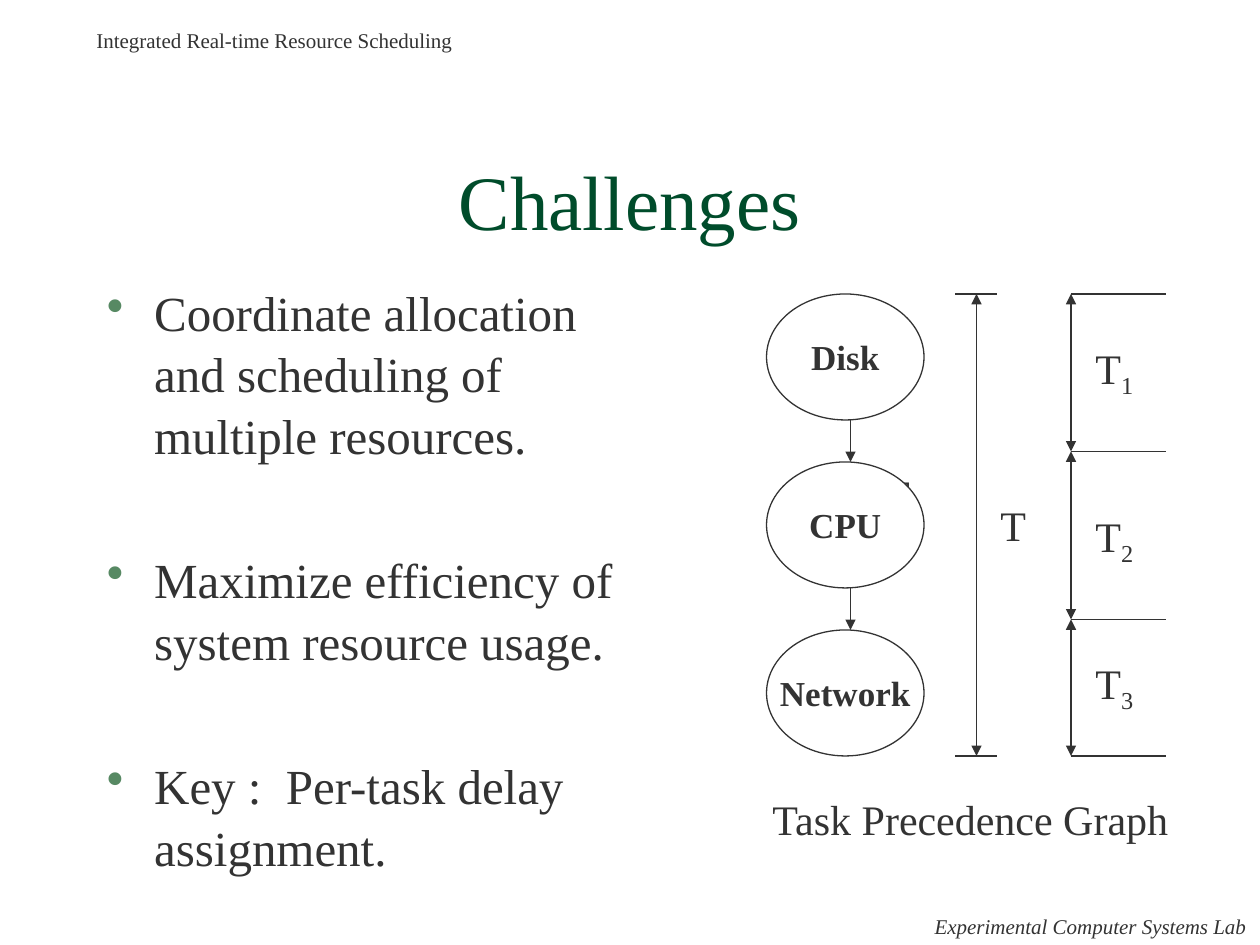
from pptx import Presentation
from pptx.dml.color import RGBColor
from pptx.enum.shapes import MSO_CONNECTOR, MSO_SHAPE
from pptx.enum.text import MSO_ANCHOR, PP_ALIGN
from pptx.oxml.ns import qn
from pptx.util import Pt
from lxml.etree import SubElement

INK = RGBColor(0x33, 0x33, 0x33)
GREEN = RGBColor(0x00, 0x4C, 0x2B)
BULLET_GREEN = RGBColor(0x57, 0x89, 0x63)
WHITE = RGBColor(0xFF, 0xFF, 0xFF)

deck = Presentation()
deck.slide_width, deck.slide_height = Pt(720), Pt(540)
page = deck.slides.add_slide(deck.slide_layouts[6])


def add_text(place, text, size, subscript="", color=INK, align=PP_ALIGN.CENTER,
             wrap=False, anchor=MSO_ANCHOR.TOP, oval=False):
    """Write one paragraph in a text box or an oval; return the frame."""
    place = [Pt(length) for length in place]
    if oval:
        box = page.shapes.add_shape(MSO_SHAPE.OVAL, *place)
        box.shadow.inherit = False
        box.fill.solid()
        box.fill.fore_color.rgb = WHITE
        box.line.color.rgb = INK
        box.line.width = Pt(0.75)
    else:
        box = page.shapes.add_textbox(*place)
    frame = box.text_frame
    frame.word_wrap = wrap
    frame.vertical_anchor = anchor
    para = frame.paragraphs[0]
    para.alignment = align
    for part in filter(None, (text, subscript)):
        span = para.add_run()
        span.text = part
        span.font.name = "Times New Roman"
        span.font.size = Pt(size)
        span.font.color.rgb = color
        span.font.bold = oval
    if subscript:
        span.font._element.set("baseline", "-25000")
    return frame


def add_line(x1, y1, x2, y2, ends=()):
    """Draw a line; ends may name headEnd (start) and tailEnd (finish)."""
    line = page.shapes.add_connector(
        MSO_CONNECTOR.STRAIGHT, Pt(x1), Pt(y1), Pt(x2), Pt(y2))
    line.line.color.rgb = INK
    line.line.width = Pt(0.75)
    for end in ends:
        SubElement(line.line._get_or_add_ln(), qn("a:" + end), type="triangle")
    SubElement(line._element.spPr, qn("a:effectLst"))


# Title, header and footer
add_text((54, 42, 612, 102), "Challenges", 44, color=GREEN, wrap=True,
         anchor=MSO_ANCHOR.BOTTOM)
add_text((48, 12, 218, 21.6), "Integrated Real-time Resource Scheduling", 12,
         align=PP_ALIGN.LEFT)
footer = add_text((527, 518.4, 192.5, 21.6), "Experimental Computer Systems Lab",
                  12, align=PP_ALIGN.LEFT)
footer.paragraphs[0].runs[0].font.italic = True

# Bullet list
points = [
    "Coordinate allocation and scheduling of multiple resources.",
    "Maximize efficiency of system resource usage.",
    "Key :  Per-task delay assignment.",
]
body = page.shapes.add_textbox(Pt(54), Pt(156), Pt(312), Pt(342)).text_frame
body.word_wrap = True
for number, point in enumerate(points):
    para = body.add_paragraph() if number else body.paragraphs[0]
    para.line_spacing = 1.05
    para.space_before = Pt(47 if number else 0)
    span = para.add_run()
    span.text = point
    span.font.name = "Times New Roman"
    span.font.size = Pt(28)
    span.font.color.rgb = INK
    properties = para._p.get_or_add_pPr()
    properties.set("marL", str(Pt(27)))
    properties.set("indent", str(-Pt(27)))
    bullet_color = SubElement(properties, qn("a:buClr"))
    SubElement(bullet_color, qn("a:srgbClr"), val=str(BULLET_GREEN))
    SubElement(properties, qn("a:buChar"), char="•")

# Total delay
TOP, BOTTOM = 168, 432
BOTH = ("headEnd", "tailEnd")
add_line(558, TOP, 558, BOTTOM, BOTH)
for y in (TOP, BOTTOM):
    add_line(546, y, 570, y)
add_text((498, 264, 29, 36), "T", 24)
add_text((564.5, 282, 29, 36), "T", 24)

# Task chain
OVAL_HEIGHT, STEP = 72, 96
for number, task in enumerate(["Disk", "CPU", "Network"]):
    y = TOP + number * STEP
    add_text((438, y, 90, OVAL_HEIGHT), task, 20, anchor=MSO_ANCHOR.MIDDLE, oval=True)
    if number:
        add_line(486, y - STEP + OVAL_HEIGHT, 486, y, ["tailEnd"])
add_text((433.5, 450, 242, 36), "Task Precedence Graph", 24)

# Delay of each task
bounds = [TOP, 258, 354, BOTTOM]
for y in bounds:
    add_line(612, y, 666, y)
label_tops = [192, 288, 372]
for number, (start, end, top) in enumerate(zip(bounds, bounds[1:], label_tops), 1):
    add_line(612, start, 612, end, BOTH)
    add_text((618, top, 37.5, 40), "T", 24, subscript=str(number), wrap=True)

deck.save("out.pptx")
